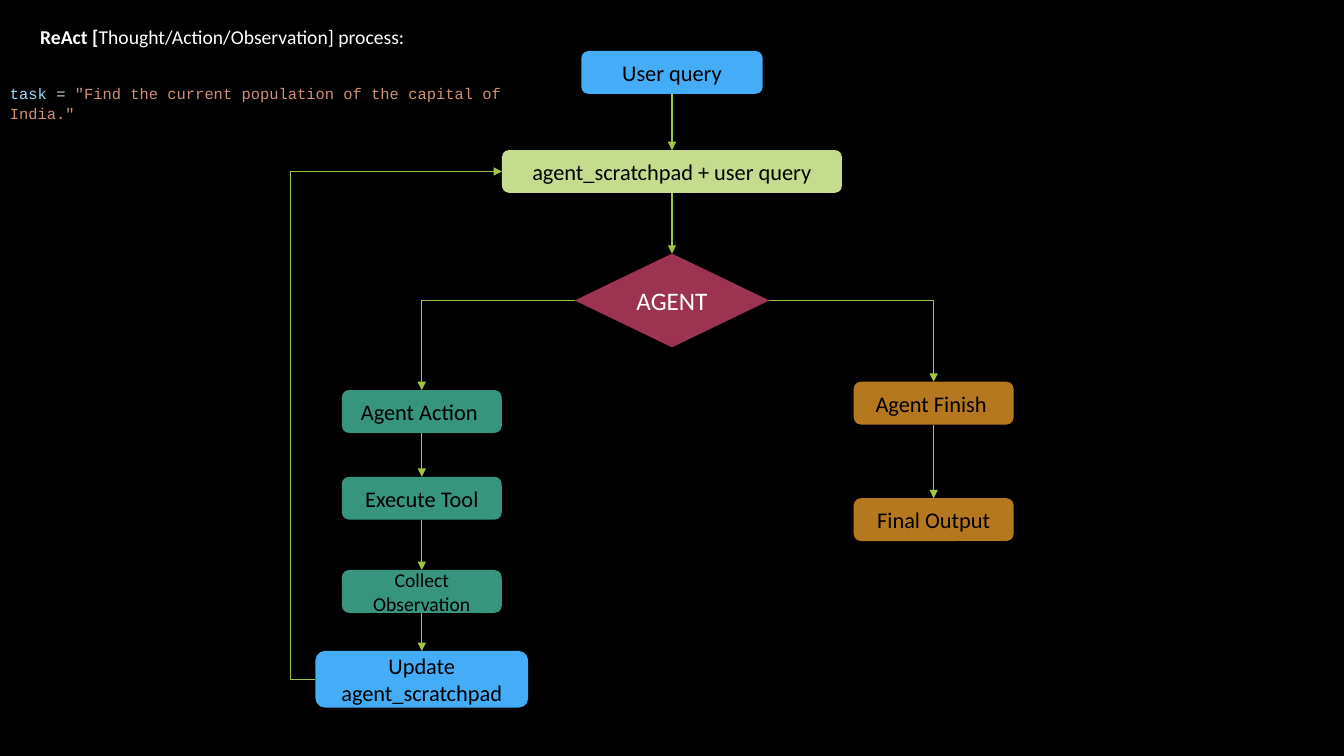
from collections import namedtuple

from lxml.etree import SubElement
from pptx import Presentation
from pptx.dml.color import RGBColor
from pptx.enum.shapes import MSO_CONNECTOR, MSO_SHAPE
from pptx.enum.text import MSO_ANCHOR, MSO_AUTO_SIZE, PP_ALIGN
from pptx.oxml.ns import qn
from pptx.util import Inches, Pt

COLORS = {
    "background": "000000", "dark": "000000", "light": "FFFFFF",
    "blue": "45ADF8", "lime": "C5DC8F", "crimson": "9C3351",
    "teal": "37947D", "amber": "B5781F", "arrow": "9EC544",
    "variable": "9CDCFE", "operator": "D4D4D4", "string": "CE9178",
}
TOP, LEFT, BOTTOM, RIGHT = range(4)
NODE_HEIGHT = 5.67
BRANCH_WIDTH = 11.9

# The slide is a grid of 100 columns by 100 rows
deck = Presentation()
deck.slide_width, deck.slide_height = Inches(13.33), Inches(7.5)
COLUMN, ROW = deck.slide_width / 100, deck.slide_height / 100

Box = namedtuple("Box", "left top width height")
Node = namedtuple("Node", "label offset width height fill size ink kind",
                  defaults=(16, "dark", MSO_SHAPE.ROUNDED_RECTANGLE))


def color(name):
    return RGBColor.from_string(COLORS[name])


def place(box):
    return (round(box.left * COLUMN), round(box.top * ROW),
            round(box.width * COLUMN), round(box.height * ROW))


def style(span, font, size, ink, bold=False):
    span.font.name = font
    span.font.size = Pt(size)
    span.font.bold = bold
    span.font.color.rgb = color(ink)


def add_text(page, box, font, size, parts):
    """Adds one paragraph made of (text, ink, bold) parts."""
    frame = page.shapes.add_textbox(*place(box)).text_frame
    frame.word_wrap = True
    frame.auto_size = MSO_AUTO_SIZE.SHAPE_TO_FIT_TEXT
    para = frame.paragraphs[0]
    for text, ink, bold in parts:
        span = para.add_run()
        span.text = text
        style(span, font, size, ink, bold)
    return para


def add_node(page, box, node):
    shape = page.shapes.add_shape(node.kind, *place(box))
    shape.shadow.inherit = False
    shape.fill.solid()
    shape.fill.fore_color.rgb = color(node.fill)
    shape.line.fill.background()
    frame = shape.text_frame
    frame.word_wrap = True
    frame.vertical_anchor = MSO_ANCHOR.MIDDLE
    frame.text = node.label
    para = frame.paragraphs[0]
    para.alignment = PP_ALIGN.CENTER
    style(para.runs[0], "Calibri", node.size, node.ink)
    return shape


def add_arrow(page, start, start_side, end, end_side, bend=None, adjust=None):
    """Joins two nodes; bend names the preset of an elbow arrow."""
    kind = MSO_CONNECTOR.ELBOW if bend else MSO_CONNECTOR.STRAIGHT
    arrow = page.shapes.add_connector(kind, 0, 0, 0, 0)
    arrow.begin_connect(start, start_side)
    arrow.end_connect(end, end_side)
    arrow.line.color.rgb = color("arrow")
    arrow.line.width = Pt(1)
    properties = arrow._element.spPr
    SubElement(properties.find(qn("a:ln")), qn("a:tailEnd"), type="triangle")
    SubElement(properties, qn("a:effectLst"))
    if bend:
        geometry = properties.find(qn("a:prstGeom"))
        geometry.set("prst", bend)
        if adjust is not None:
            guides = geometry.find(qn("a:avLst"))
            if guides is None:
                guides = SubElement(geometry, qn("a:avLst"))
            SubElement(guides, qn("a:gd"), name="adj1", fmla=f"val {adjust}")


def add_heading(page, box):
    """Title and the example task below it."""
    add_text(page, Box(box.left + 2.25, box.top, 32.1, 4.5), "Calibri", 14,
             [("ReAct [", "light", True),
              ("Thought/Action/Observation] process:", "light", False)])
    task = add_text(page, Box(box.left, box.top + 7.6, box.width, 3.9), "Courier New", 11,
                    [("task ", "variable", False), ("= ", "operator", False),
                     ('"Find the current population of the capital of India."',
                      "string", False)])
    task.line_spacing = Pt(14.2)


def add_flow(page, box, nodes):
    """Nodes centred down a box, each joined to the next."""
    shapes = []
    for node in nodes:
        left = box.left + (box.width - node.width) / 2
        shapes.append(add_node(
            page, Box(left, box.top + node.offset, node.width, node.height), node))
    for upper, lower in zip(shapes, shapes[1:]):
        add_arrow(page, upper, BOTTOM, lower, TOP)
    return shapes


def main():
    page = deck.slides.add_slide(deck.slide_layouts[6])
    page.background.fill.solid()
    page.background.fill.fore_color.rgb = color("background")

    add_heading(page, Box(0, 2.67, 40.9, 12))

    # Query down to the agent's decision
    query, scratchpad, agent = add_flow(page, Box(37.35, 6.75, 25.3, 39.2), [
        Node("User query", 0, 13.5, NODE_HEIGHT, "blue"),
        Node("agent_scratchpad + user query", 13.1, 25.3, NODE_HEIGHT, "lime"),
        Node("AGENT", 26.8, 14.48, 12.4, "crimson", 18, "light",
             MSO_SHAPE.FLOWCHART_DECISION),
    ])

    # Tool branch
    action, tool, observation, update = add_flow(page, Box(23.47, 51.6, 15.83, 42), [
        Node("Agent Action ", 0, BRANCH_WIDTH, NODE_HEIGHT, "teal"),
        Node("Execute Tool", 11.47, BRANCH_WIDTH, NODE_HEIGHT, "teal"),
        Node("Collect Observation", 23.8, BRANCH_WIDTH, NODE_HEIGHT, "teal", 14),
        Node("Update agent_scratchpad", 34.5, 15.83, 7.5, "blue"),
    ])

    # Finish branch
    finish, output = add_flow(page, Box(63.52, 50.5, BRANCH_WIDTH, 21.1), [
        Node("Agent Finish ", 0, BRANCH_WIDTH, NODE_HEIGHT, "amber"),
        Node("Final Output", 15.4, BRANCH_WIDTH, NODE_HEIGHT, "amber"),
    ])

    # Decision arrows and the loop back
    add_arrow(page, agent, LEFT, action, TOP, "bentConnector2")
    add_arrow(page, agent, RIGHT, finish, TOP, "bentConnector2")
    add_arrow(page, update, LEFT, scratchpad, LEFT, "bentConnector3", -13500)

    deck.save("out.pptx")


if __name__ == "__main__":
    main()
